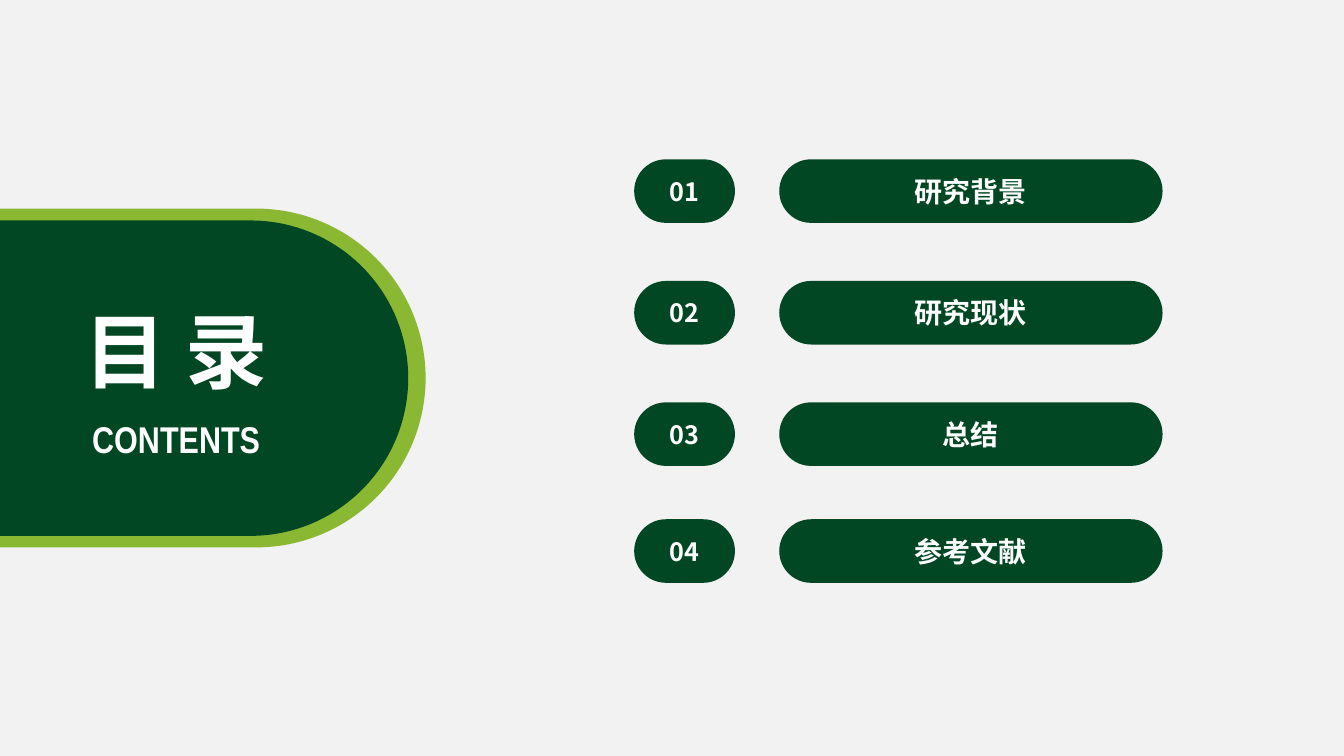
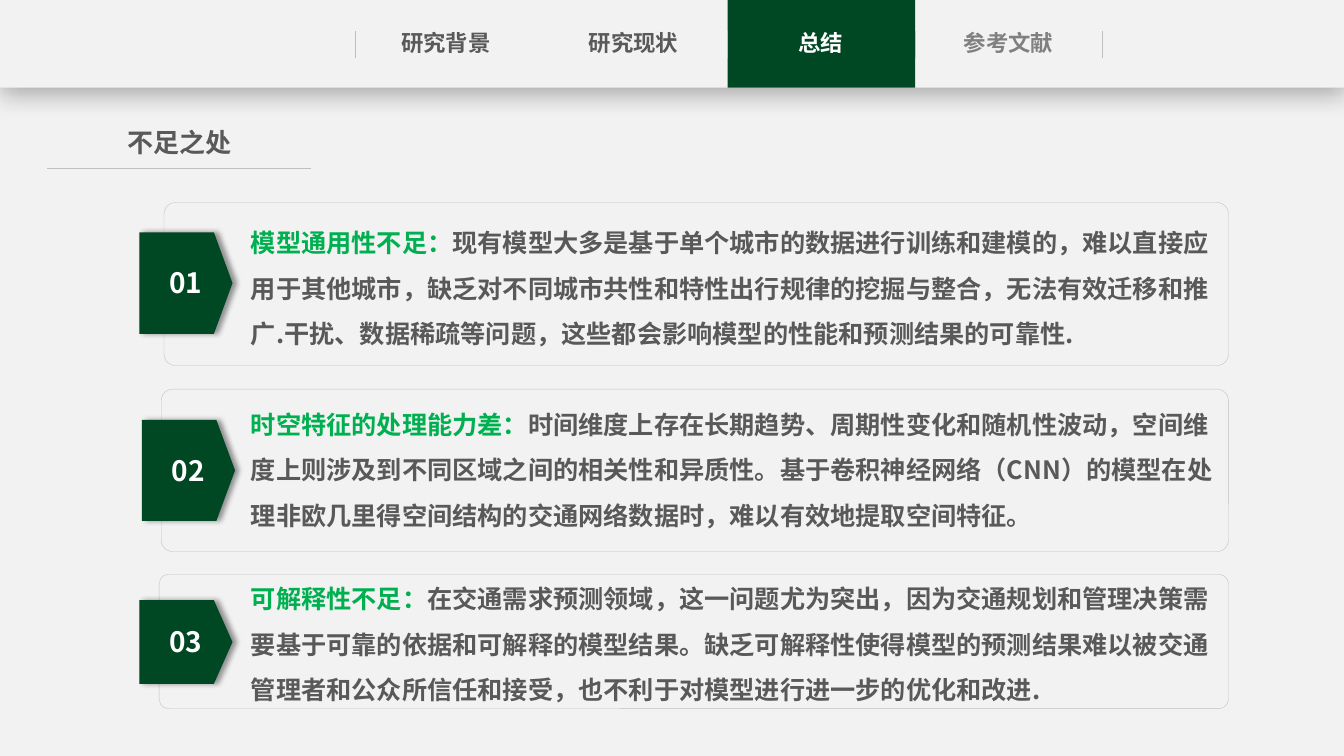
import lxml.etree
import pptx
import pptx.dml.color
import pptx.enum.shapes
import pptx.enum.text
import pptx.oxml.ns
import pptx.util

Pt = pptx.util.Pt
RGBColor = pptx.dml.color.RGBColor
Shapes = pptx.enum.shapes.MSO_SHAPE
Align = pptx.enum.text.PP_ALIGN
qn = pptx.oxml.ns.qn

PAPER = RGBColor(0xF2, 0xF2, 0xF2)
WHITE = RGBColor(0xFF, 0xFF, 0xFF)
LIME = RGBColor(0x8A, 0xB8, 0x33)
FOREST = RGBColor(0x01, 0x47, 0x23)
PINE = RGBColor(0x00, 0x47, 0x23)
EMERALD = RGBColor(0x00, 0xB0, 0x50)
CHARCOAL = RGBColor(0x59, 0x59, 0x59)
GRAY = RGBColor(0x80, 0x80, 0x80)
SILVER = RGBColor(0xBF, 0xBF, 0xBF)

SANS = "Noto Sans CJK SC"
WIDTH, HEIGHT = 960, 540

SECTIONS = ["研究背景", "研究现状", "总结", "参考文献"]
SECTION_TOPS = [113.8, 200.7, 287.4, 370.9]

NAV_LEFT, NAV_PITCH, NAV_HEIGHT = 252, 133.92, 62.6
CARD_RIGHT, BODY_LEFT = 877.5, 172.1
TAG_WIDTH = 66.6

SHORTCOMINGS = [
    dict(
        heading="模型通用性不足：",
        body="现有模型大多是基于单个城市的数据进行训练和建模的，难以直接应用于其他城市，"
             "缺乏对不同城市共性和特性出行规律的挖掘与整合，无法有效迁移和推广."
             "干扰、数据稀疏等问题，这些都会影响模型的性能和预测结果的可靠性.",
        left=117.2, top=144.7, height=116.4,
        tag_center=(132.8, 202.2), tag_height=72.6, body_top=148.3),
    dict(
        heading="时空特征的处理能力差：",
        body="时间维度上存在长期趋势、周期性变化和随机性波动，空间维度上则涉及到不同区域之间的"
             "相关性和异质性。基于卷积神经网络（CNN）的模型在处理非欧几里得空间结构的交通网络"
             "数据时，难以有效地提取空间特征。",
        left=115.2, top=278, height=116,
        tag_center=(134.6, 336), tag_height=72, body_top=278),
    dict(
        heading="可解释性不足：",
        body="在交通需求预测领域，这一问题尤为突出，因为交通规划和管理决策需要基于可靠的依据和"
             "可解释的模型结果。缺乏可解释性使得模型的预测结果难以被交通管理者和公众所信任和接受，"
             "也不利于对模型进行进一步的优化和改进.",
        left=113.7, top=410.2, height=96,
        tag_center=(132.8, 458.6), tag_height=59.8, body_top=402.5),
]


def write_text(frame, text, size=18, color=WHITE, font=SANS, align=Align.CENTER,
               spacing=None, lead="", lead_color=EMERALD):
    """Fill a text frame with one bold paragraph, optionally led by a coloured phrase."""
    paragraph = frame.paragraphs[0]
    paragraph.alignment = align
    if spacing:
        paragraph.line_spacing = spacing
    for words, ink in ((lead, lead_color), (text, color)):
        if not words:
            continue
        run = paragraph.add_run()
        run.text = words
        run.font.size = Pt(size)
        run.font.bold = True
        run.font.color.rgb = ink
        run.font.name = font
        lxml.etree.SubElement(run.font._element, qn("a:ea"), typeface=font)


class Deck:
    """Hold the shared style and draw elements on the current slide."""

    def __init__(self):
        self.presentation = pptx.Presentation()
        self.presentation.slide_width = Pt(WIDTH)
        self.presentation.slide_height = Pt(HEIGHT)
        backdrop = self.presentation.slide_master.background.fill
        backdrop.solid()
        backdrop.fore_color.rgb = PAPER
        self.slide = None

    def new_slide(self):
        """Start a blank slide."""
        self.slide = self.presentation.slides.add_slide(self.presentation.slide_layouts[6])

    def panel(self, left, top, width, height, fill, kind=Shapes.RECTANGLE,
              corner=None, outline=None, rotation=0):
        """Draw a filled preset shape without a shadow."""
        shape = self.slide.shapes.add_shape(kind, Pt(left), Pt(top), Pt(width), Pt(height))
        shape.shadow.inherit = False
        shape.rotation = rotation
        shape.fill.solid()
        shape.fill.fore_color.rgb = fill
        if outline is None:
            shape.line.fill.background()
        else:
            shape.line.color.rgb = outline
            shape.line.width = Pt(0.25)
        if corner is not None:
            shape.adjustments[0] = corner
        return shape

    def pill(self, left, top, width, height, fill, text="", size=18):
        """Draw a fully rounded bar with an optional centred label."""
        bar = self.panel(left, top, width, height, fill, Shapes.ROUNDED_RECTANGLE, 0.5)
        bar.text_frame.vertical_anchor = pptx.enum.text.MSO_ANCHOR.MIDDLE
        if text:
            write_text(bar.text_frame, text, size=size)

    def cast_shadow(self, shape, opacity, blur, distance, angle):
        """Give a shape a black outer shadow."""
        effects = shape._element.spPr.find(qn("a:effectLst"))
        shadow = lxml.etree.SubElement(
            effects, qn("a:outerShdw"), blurRad=str(Pt(blur)), dist=str(Pt(distance)),
            dir=str(angle * 60000), algn="ctr", rotWithShape="0")
        black = lxml.etree.SubElement(shadow, qn("a:srgbClr"), val="000000")
        lxml.etree.SubElement(black, qn("a:alpha"), val=str(opacity * 1000))

    def label(self, left, top, width, height, text, wrap=True, side_inset=7.2, **style):
        """Place a text box."""
        frame = self.slide.shapes.add_textbox(
            Pt(left), Pt(top), Pt(width), Pt(height)).text_frame
        frame.word_wrap = wrap
        frame.margin_left = frame.margin_right = Pt(side_inset)
        write_text(frame, text, **style)

    def rule(self, x1, y1, x2, y2):
        """Draw a thin silver line."""
        line = self.slide.shapes.add_connector(
            pptx.enum.shapes.MSO_CONNECTOR.STRAIGHT, Pt(x1), Pt(y1), Pt(x2), Pt(y2))
        line.line.color.rgb = SILVER
        line.line.width = Pt(0.5)
        lxml.etree.SubElement(line._element.spPr, qn("a:effectLst"))

    def navigation(self, active):
        """Draw the header band with the active section highlighted."""
        band = self.panel(0, 0, WIDTH, NAV_HEIGHT, PAPER)
        self.cast_shadow(band, opacity=29, blur=18, distance=4, angle=90)
        edges = [NAV_LEFT + NAV_PITCH * i for i in range(len(SECTIONS) + 1)]
        self.panel(edges[active], 0, NAV_PITCH, NAV_HEIGHT, PINE)
        for x in (254.2, edges[active], edges[active + 1], edges[-1]):
            self.rule(x, 22.3, x, 41.8)
        for i, section in enumerate(SECTIONS):
            color = WHITE if i == active else CHARCOAL if i < active else GRAY
            self.label(edges[i] + 13.7, 17.3, 105.8, 26.6, section,
                       side_inset=0, size=16, color=color)

    def card(self, number, heading, body, left, top, height, tag_center, tag_height, body_top):
        """Draw an outlined card with a numbered arrow tag and its text."""
        self.panel(left, top, CARD_RIGHT - left, height, PAPER,
                   Shapes.ROUNDED_RECTANGLE, 0.07, SILVER)
        x, y = tag_center
        tag = self.panel(x - tag_height / 2, y - TAG_WIDTH / 2, tag_height, TAG_WIDTH,
                         PINE, Shapes.FLOWCHART_OFFPAGE_CONNECTOR, rotation=270)
        self.cast_shadow(tag, opacity=40, blur=4, distance=3, angle=0)
        self.label(x - 28.8, y - 15.8, 57.6, 31.6, f"{number:02}", size=20)
        self.label(BODY_LEFT, body_top, CARD_RIGHT - BODY_LEFT, 109.4, body, lead=heading,
                   color=CHARCOAL, align=Align.LEFT, spacing=1.5)


def build_contents(deck):
    """Build the table of contents."""
    deck.new_slide()
    deck.pill(-141, 149, 445, 242, LIME)
    deck.pill(-122.4, 157.5, 414, 225.3, FOREST)
    for number, (section, top) in enumerate(zip(SECTIONS, SECTION_TOPS), 1):
        deck.pill(453, top, 72, 45.4, FOREST, f"{number:02}")
        deck.pill(556.6, top, 273.8, 45.4, FOREST, section, size=20)
    deck.label(44.6, 293.8, 162.7, 39.6, "CONTENTS", wrap=False, size=26.6, font="Arial Narrow")
    deck.label(50.4, 211, 150.5, 78.5, "目 录", wrap=False, size=58.6)


def build_shortcomings(deck):
    """Build the summary of shortcomings."""
    deck.new_slide()
    deck.rule(33.8, 120.2, 222.5, 120.2)
    deck.label(54, 87.1, 149, 30.2, "不足之处", side_inset=0, size=18.6, color=CHARCOAL)
    for number, shortcoming in enumerate(SHORTCOMINGS, 1):
        deck.card(number, **shortcoming)
    deck.navigation(active=2)


def main():
    """Build and save the presentation."""
    deck = Deck()
    build_contents(deck)
    build_shortcomings(deck)
    deck.presentation.save("out.pptx")


if __name__ == "__main__":
    main()
